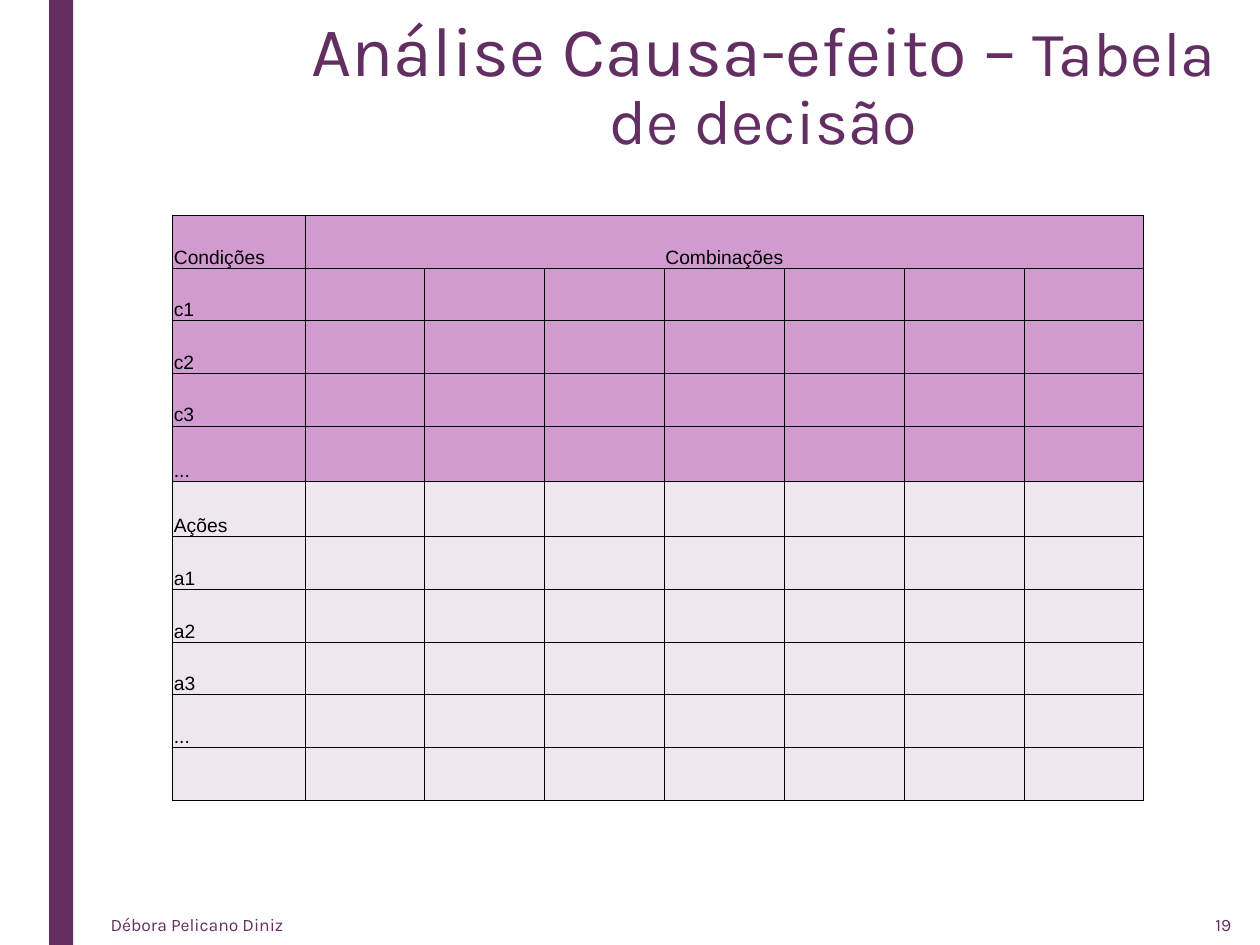
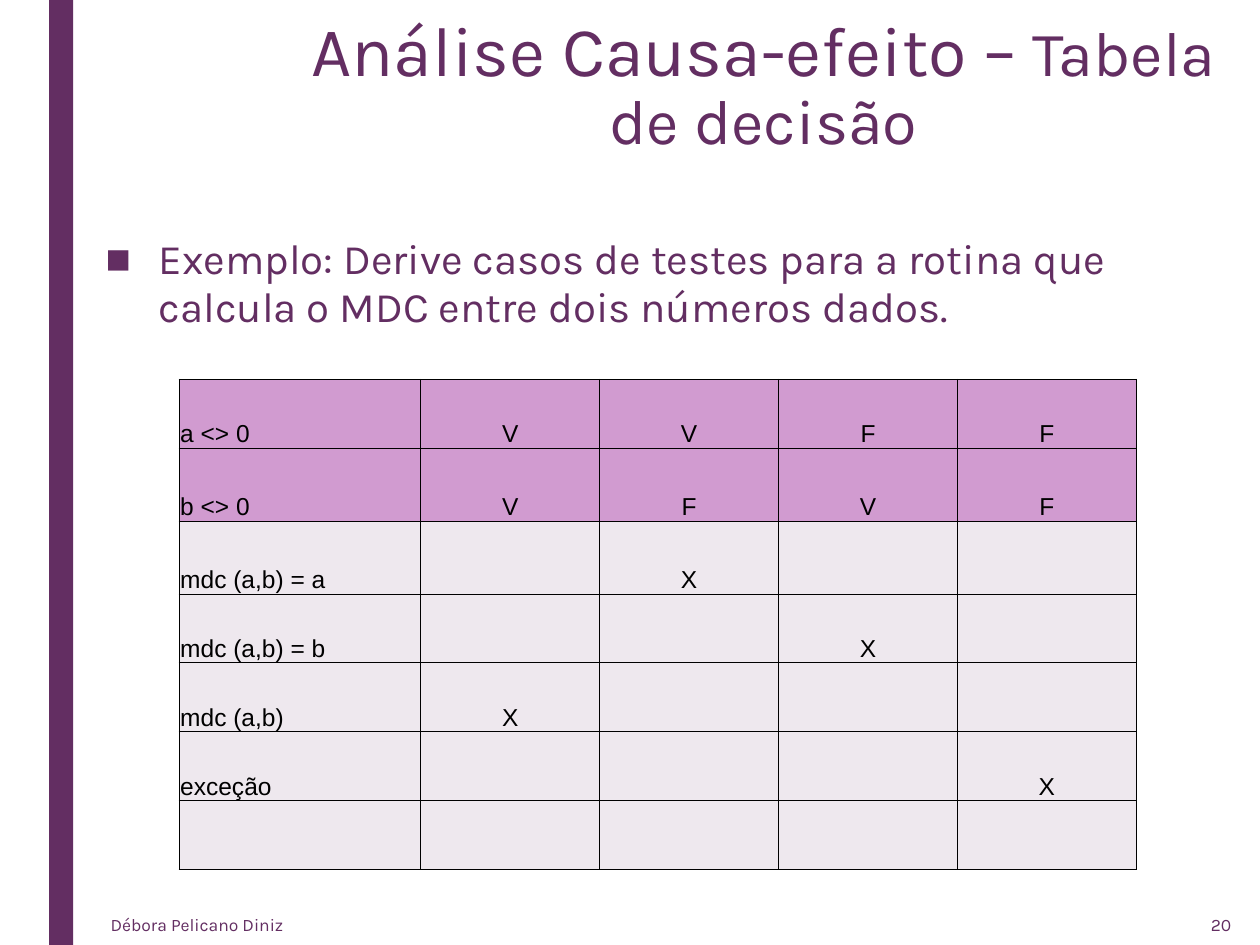
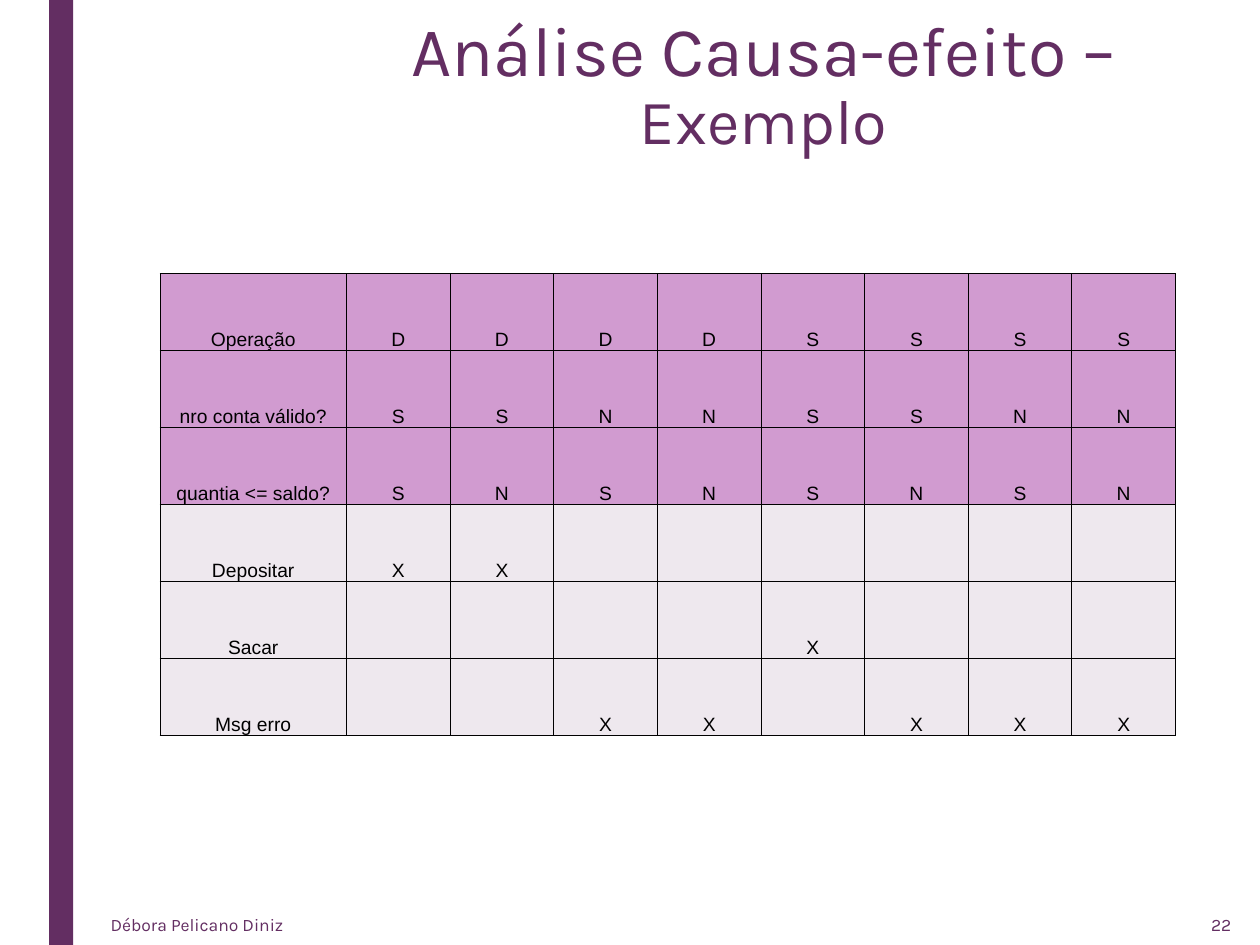
"""Build three slides on cause-effect decision tables."""
from dataclasses import dataclass

from pptx import Presentation
from pptx.dml.color import RGBColor
from pptx.enum.shapes import MSO_SHAPE
from pptx.enum.text import MSO_ANCHOR as Anchor, PP_ALIGN as Align
from pptx.oxml.ns import qn
from pptx.util import Inches, Pt
from lxml.etree import SubElement


@dataclass(frozen=True)
class Theme:
    plum: str = "632E62"
    condition: str = "D19BD0"
    action: str = "EEE8EE"
    ink: str = "000000"
    text_font: str = "Karla"
    table_font: str = "Arial"
    title_size: int = 40
    subtitle_size: int = 36
    body_size: int = 24
    footer_size: int = 10
    border: float = 0.5


THEME = Theme()
WIDTH, HEIGHT = 10, 7.5
BAND_AREA = (0.39, 0, 0.19, HEIGHT)
TITLE_AREA = (2.37, 0.08, 7.38, 1.62)
BODY_AREA = (0.74, 1.83, 9.01, 0.89)
AUTHOR_AREA = (0.78, 7.18, 5.15, 0.32)
NUMBER_AREA = (9.33, 7.18, 0.54, 0.32)
BULLET_INDENT = 0.42

TOPIC = "Análise Causa-efeito – "
AUTHOR = "Débora Pelicano Diniz"
BLANK = "-"

SLIDES = [
    {
        "number": 19,
        "subtitle": "Tabela de decisão",
        "table": {
            "area": (1.37, 1.71, 7.71, 4.64),
            "label_width": 1.05, "label_align": Align.LEFT, "size": 11,
            "columns": 7, "tall_rows": {4: 0.44, 5: 0.44},
            "heading": "Combinações",
            "conditions": [("Condições", ""), ("c1", ""), ("c2", ""), ("c3", ""), ("...", "")],
            "actions": [("Ações", ""), ("a1", ""), ("a2", ""), ("a3", ""), ("...", ""), ("", "")],
        },
    },
    {
        "number": 20,
        "subtitle": "Tabela de decisão",
        "body": "Exemplo: Derive casos de testes para a rotina que calcula o MDC "
                "entre dois números dados.",
        "table": {
            "area": (1.42, 3.01, 7.6, 3.89),
            "label_width": 1.92, "label_align": Align.LEFT, "size": 14,
            "columns": 4, "tall_rows": {1: 0.58, 2: 0.58},
            "conditions": [("a <> 0", "VVFF"), ("b <> 0", "VFVF")],
            "actions": [("mdc (a,b) = a", "-X--"), ("mdc (a,b) = b", "--X-"),
                        ("mdc (a,b)", "X---"), ("exceção", "---X"), ("", "")],
        },
    },
    {
        "number": 22,
        "subtitle": "Exemplo",
        "table": {
            "area": (1.27, 2.17, 8.06, 3.67),
            "label_width": 1.48, "label_align": Align.CENTER, "size": 11,
            "columns": 8, "tall_rows": {},
            "conditions": [("Operação", "DDDDSSSS"), ("nro conta válido?", "SSNNSSNN"),
                           ("quantia <= saldo?", "SNSNSNSN")],
            "actions": [("Depositar", "XX------"), ("Sacar", "----X---"),
                        ("Msg erro", "--XX-XXX")],
        },
    },
]


def place(area):
    return [Inches(length) for length in area]


def add_span(para, text, size, font=THEME.text_font, color=THEME.plum):
    span = para.add_run()
    span.text = text
    span.font.size = Pt(size)
    span.font.name = font
    span.font.color.rgb = RGBColor.from_string(color)


def add_text(page, area, spans, align=Align.LEFT, anchor=Anchor.TOP, spacing=None):
    frame = page.shapes.add_textbox(*place(area)).text_frame
    frame.word_wrap = True
    frame.vertical_anchor = anchor
    para = frame.paragraphs[0]
    para.alignment = align
    para.line_spacing = spacing
    for text, size in spans:
        add_span(para, text, size)
    return para


def add_bullet(para):
    props = para._p.get_or_add_pPr()
    props.set("marL", str(Inches(BULLET_INDENT)))
    props.set("indent", str(-Inches(BULLET_INDENT)))
    SubElement(props, qn("a:buFont"), typeface=THEME.table_font)
    SubElement(props, qn("a:buChar"), char="■")


def add_borders(cell):
    props = cell._tc.get_or_add_tcPr()
    for position, side in enumerate(("a:lnL", "a:lnR", "a:lnT", "a:lnB")):
        line = props.makeelement(qn(side), {"w": str(Pt(THEME.border))})
        fill = SubElement(line, qn("a:solidFill"))
        SubElement(fill, qn("a:srgbClr"), val=THEME.ink)
        props.insert(position, line)


def style_cell(cell, text, fill, align, size):
    cell.fill.solid()
    cell.fill.fore_color.rgb = RGBColor.from_string(fill)
    cell.vertical_anchor = Anchor.BOTTOM
    cell.margin_left = cell.margin_right = cell.margin_top = Inches(0.01)
    cell.margin_bottom = 0
    add_borders(cell)
    para = cell.text_frame.paragraphs[0]
    para.alignment = align
    if text:
        add_span(para, text, size, THEME.table_font, THEME.ink)
    else:
        para.font.size = Pt(size)


def add_decision_table(page, data):
    rows = data["conditions"] + data["actions"]
    columns, tall = data["columns"], data["tall_rows"]
    width, height = data["area"][2:]
    table = page.shapes.add_table(len(rows), columns + 1, *place(data["area"])).table
    table.first_row = table.horz_banding = False

    mark_width = (width - data["label_width"]) / columns
    for index, column in enumerate(table.columns):
        column.width = Inches(mark_width if index else data["label_width"])
    row_height = (height - sum(tall.values())) / (len(rows) - len(tall))
    for index, row in enumerate(table.rows):
        row.height = Inches(tall.get(index, row_height))

    for r, (label, marks) in enumerate(rows):
        fill = THEME.condition if r < len(data["conditions"]) else THEME.action
        style_cell(table.cell(r, 0), label, fill, data["label_align"], data["size"])
        for c, mark in enumerate(marks.ljust(columns, BLANK), 1):
            text = "" if mark == BLANK else mark
            if "heading" in data and (r, c) == (0, 1):
                text = data["heading"]
            style_cell(table.cell(r, c), text, fill, Align.CENTER, data["size"])
    if "heading" in data:
        table.cell(0, 1).merge(table.cell(0, columns))


def add_page(deck, content):
    page = deck.slides.add_slide(deck.slide_layouts[6])
    band = page.shapes.add_shape(MSO_SHAPE.RECTANGLE, *place(BAND_AREA))
    band.shadow.inherit = False
    band.fill.solid()
    band.fill.fore_color.rgb = RGBColor.from_string(THEME.plum)
    band.line.fill.background()

    title = [(TOPIC, THEME.title_size), (content["subtitle"], THEME.subtitle_size)]
    add_text(page, TITLE_AREA, title, Align.CENTER, spacing=0.89)
    if "body" in content:
        body = [(content["body"], THEME.body_size)]
        add_bullet(add_text(page, BODY_AREA, body, spacing=0.94))
    add_decision_table(page, content["table"])
    add_text(page, AUTHOR_AREA, [(AUTHOR, THEME.footer_size)], anchor=Anchor.MIDDLE)
    add_text(page, NUMBER_AREA, [(str(content["number"]), THEME.footer_size)],
             Align.RIGHT, Anchor.MIDDLE)


def main():
    deck = Presentation()
    deck.slide_width, deck.slide_height = Inches(WIDTH), Inches(HEIGHT)
    for content in SLIDES:
        add_page(deck, content)
    deck.save("out.pptx")


if __name__ == "__main__":
    main()
